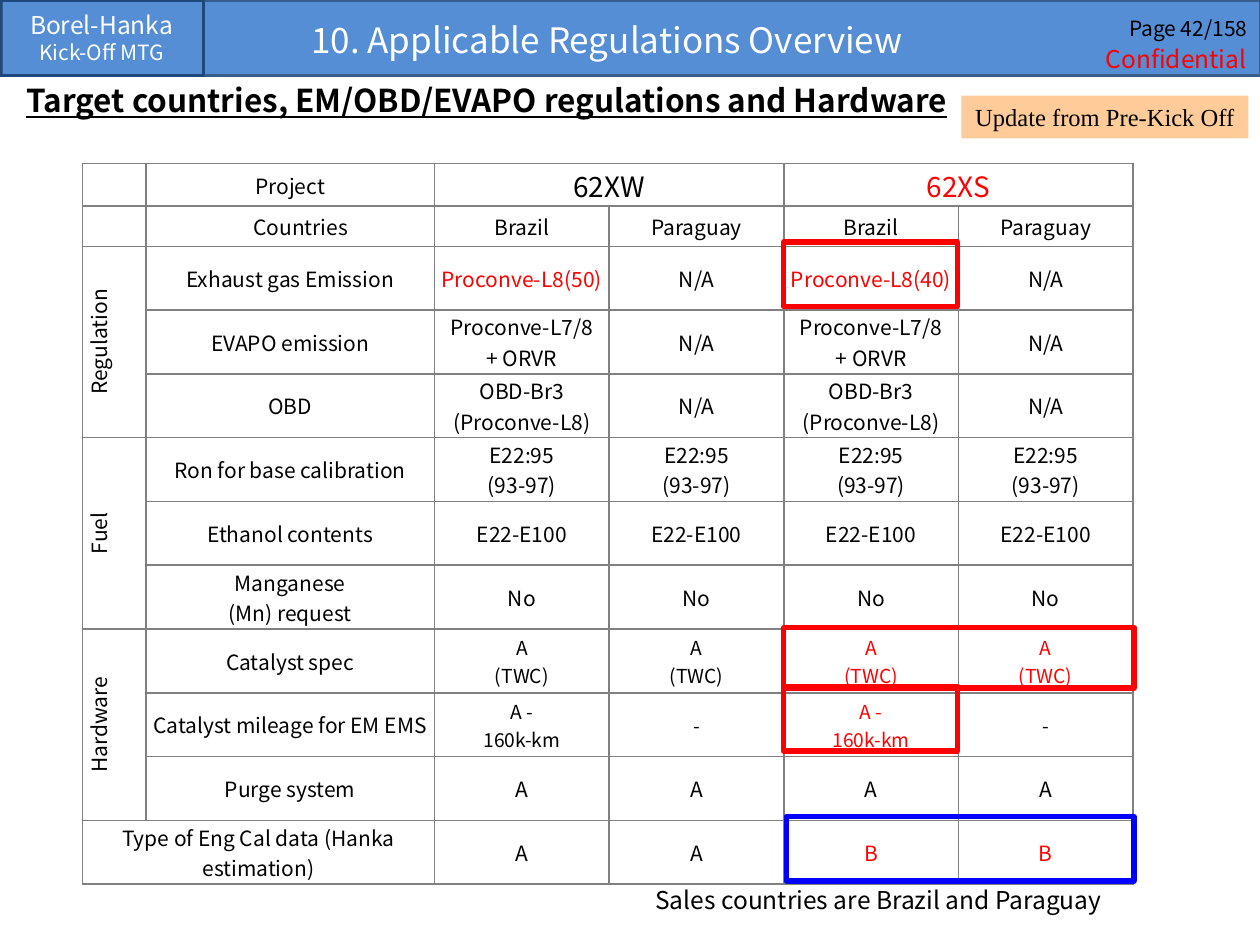
from dataclasses import dataclass

from lxml.etree import SubElement
from pptx import Presentation
from pptx.dml.color import RGBColor
from pptx.enum.shapes import MSO_SHAPE
from pptx.enum.text import MSO_ANCHOR, MSO_AUTO_SIZE, PP_ALIGN
from pptx.oxml.ns import qn
from pptx.util import Cm, Pt


@dataclass(frozen=True)
class Theme:
    font: str = "Noto Sans CJK JP"
    note_font: str = "Times New Roman"
    bar: str = "558ED5"
    bar_line: str = "385D8A"
    project_line: str = "1F497D"
    note: str = "FFCC99"
    grid: str = "808080"
    white: str = "FFFFFF"
    black: str = "000000"
    red: str = "FF0000"
    blue: str = "0000FF"
    title_size: int = 20
    heading_size: int = 18
    project_size: int = 16
    label_size: int = 14
    body_size: int = 12
    small_size: int = 11


THEME = Theme()

OBD = "OBD-Br3\n(Proconve-L8)"
EVAPO = "Proconve-L7/8\n+ ORVR"
RON = "E22:95\n(93-97)"
CATALYST = "A\n(TWC)"
MILEAGE = "A -\n160k-km"
ROWS = [
    ["", "Project", "62XW", "", "62XS", ""],
    ["", "　Countries", "Brazil", "Paraguay", "Brazil", "Paraguay"],
    ["Regulation", "Exhaust gas Emission", "Proconve-L8(50)", "N/A", "Proconve-L8(40)", "N/A"],
    ["", "EVAPO emission", EVAPO, "N/A", EVAPO, "N/A"],
    ["", "OBD", OBD, "N/A", OBD, "N/A"],
    ["Fuel", "Ron for base calibration"] + [RON] * 4,
    ["", "Ethanol contents"] + ["E22-E100"] * 4,
    ["", "Manganese\n(Mn) request"] + ["No"] * 4,
    ["Hardware", "Catalyst spec"] + [CATALYST] * 4,
    ["", "Catalyst mileage for EM EMS", MILEAGE, "-", MILEAGE, "-"],
    ["", "Purge system"] + ["A"] * 4,
    ["Type of Eng Cal data (Hanka estimation)", "", "A", "A", "B", "B"],
]
HEADER_ROWS = 2
GROUP_ROWS = (2, 5, 8)
GROUP_SIZE = 3
CATALYST_ROWS = (8, 9)
RED_CELLS = {(0, 4), (2, 2), (2, 4), (8, 4), (8, 5), (9, 4), (11, 4), (11, 5)}
COLUMN_WIDTHS = [1.28, 5.82] + [3.52] * 4
TABLE_HEIGHT = 14.48
HEADER_HEIGHT = 0.81


def color(value):
    return RGBColor.from_string(value)


def add_run(paragraph, text, size, ink, font=THEME.font, bold=False, underline=False):
    run = paragraph.add_run()
    run.text = text
    run.font.name = font
    run.font.size = Pt(size)
    run.font.color.rgb = color(ink)
    run.font.bold = bold
    run.font.underline = underline


def fill_text(frame, lines, align, **style):
    frame.auto_size = MSO_AUTO_SIZE.NONE
    frame.vertical_anchor = MSO_ANCHOR.MIDDLE
    for index, (text, size, ink) in enumerate(lines):
        paragraph = frame.add_paragraph() if index else frame.paragraphs[0]
        paragraph.alignment = align
        add_run(paragraph, text, size, ink, **style)


def add_text(slide, box, line, align, wrap=False, **style):
    shape = slide.shapes.add_textbox(*map(Cm, box))
    shape.text_frame.word_wrap = wrap
    fill_text(shape.text_frame, [line], align, **style)
    return shape


def add_rectangle(slide, box, fill=None, line=None, width=2):
    shape = slide.shapes.add_shape(MSO_SHAPE.RECTANGLE, *map(Cm, box))
    shape.shadow.inherit = False
    if fill:
        shape.fill.solid()
        shape.fill.fore_color.rgb = color(fill)
    else:
        shape.fill.background()
    if line:
        shape.line.color.rgb = color(line)
        shape.line.width = Pt(width)
    else:
        shape.line.fill.background()
    return shape


def add_header(slide):
    add_rectangle(slide, (0.02, 0, 25.4, 1.52), THEME.bar, THEME.bar_line)
    project = add_rectangle(slide, (0, 0, 4.1, 1.52), line=THEME.project_line)
    fill_text(project.text_frame, [
        ("Borel-Hanka", THEME.label_size, THEME.white),
        ("Kick-Off MTG", THEME.body_size, THEME.white),
    ], PP_ALIGN.CENTER)
    add_text(slide, (21.74, 0.05, 3.66, 1.02),
             ("Page 42/158", THEME.body_size, THEME.black), PP_ALIGN.RIGHT, wrap=True)
    add_text(slide, (22.02, 0.76, 3.38, 0.86),
             ("Confidential", THEME.label_size, THEME.red), PP_ALIGN.CENTER)


def place_title(slide):
    title = slide.shapes.title
    title.left, title.top, title.width, title.height = map(Cm, (6.02, 0.23, 13.39, 1.12))
    fill_text(title.text_frame,
              [("10. Applicable Regulations Overview", THEME.title_size, THEME.white)],
              PP_ALIGN.LEFT)
    slide.shapes.element.append(title.element)


def style_cell(cell):
    cell.vertical_anchor = MSO_ANCHOR.MIDDLE
    cell.margin_left = cell.margin_right = Cm(0.04)
    cell.margin_top = cell.margin_bottom = Cm(0.02)
    properties = cell._tc.get_or_add_tcPr()
    for side in ("lnL", "lnR", "lnT", "lnB"):
        border = SubElement(properties, qn(f"a:{side}"), w=str(Pt(1)))
        solid = SubElement(border, qn("a:solidFill"))
        SubElement(solid, qn("a:srgbClr"), val=THEME.grid)
    cell.fill.background()


def cell_size(row, column):
    if row == 0 and column >= 2:
        return THEME.project_size
    if row in CATALYST_ROWS and column >= 2:
        return THEME.small_size
    return THEME.body_size


def write_cell(cell, text, row, column):
    style_cell(cell)
    if not text:
        SubElement(cell.text_frame.paragraphs[0]._p, qn("a:endParaRPr"),
                   sz=str(THEME.body_size * 100))
        return
    ink = THEME.red if (row, column) in RED_CELLS else THEME.black
    for index, line in enumerate(text.split("\n")):
        frame = cell.text_frame
        paragraph = frame.add_paragraph() if index else frame.paragraphs[0]
        paragraph.alignment = PP_ALIGN.CENTER
        add_run(paragraph, line, cell_size(row, column), ink)


def add_regulation_table(slide):
    table = slide.shapes.add_table(
        len(ROWS), len(COLUMN_WIDTHS), Cm(1.66), Cm(3.3),
        Cm(sum(COLUMN_WIDTHS)), Cm(TABLE_HEIGHT)).table
    table.first_row = table.horz_banding = False
    for column, width in zip(table.columns, COLUMN_WIDTHS):
        column.width = Cm(width)
    body_height = (TABLE_HEIGHT - HEADER_ROWS * HEADER_HEIGHT) / (len(ROWS) - HEADER_ROWS)
    for row, texts in enumerate(ROWS):
        table.rows[row].height = Cm(HEADER_HEIGHT if row < HEADER_ROWS else body_height)
        for column, text in enumerate(texts):
            write_cell(table.cell(row, column), text, row, column)
    for row in GROUP_ROWS:
        table.cell(row, 0).merge(table.cell(row + GROUP_SIZE - 1, 0))
        table.cell(row, 0)._tc.get_or_add_tcPr().set("vert", "vert270")
    for row, column in ((0, 2), (0, 4), (len(ROWS) - 1, 0)):
        table.cell(row, column).merge(table.cell(row, column + 1))


def add_highlights(slide):
    for box, line in (
        ((15.8, 4.88, 3.5, 1.3), THEME.red),
        ((15.8, 12.65, 7.06, 1.22), THEME.red),
        ((15.85, 16.46, 7.01, 1.3), THEME.blue),
        ((15.8, 13.84, 3.5, 1.3), THEME.red),
    ):
        add_rectangle(slide, box, line=line, width=3)


def add_notes_on_table(slide):
    sales = add_text(slide, (13.11, 17.83, 10.11, 0.61),
                     ("Sales countries are Brazil and Paraguay", THEME.label_size, THEME.black),
                     PP_ALIGN.LEFT)
    frame = sales.text_frame
    frame.margin_left = frame.margin_right = Cm(0.1)
    frame.margin_top = frame.margin_bottom = 0
    update = add_rectangle(slide, (19.38, 1.93, 5.79, 0.86), THEME.note)
    update.text_frame.word_wrap = False
    fill_text(update.text_frame,
              [("Update from Pre-Kick Off", THEME.label_size, THEME.black)],
              PP_ALIGN.CENTER, font=THEME.note_font)


def main():
    presentation = Presentation()
    presentation.slide_width, presentation.slide_height = Cm(25.4), Cm(19.05)
    slide = presentation.slides.add_slide(presentation.slide_layouts[5])
    add_header(slide)
    add_text(slide, (0.28, 1.5, 24.31, 1.02),
             ("Target countries, EM/OBD/EVAPO regulations and Hardware",
              THEME.heading_size, THEME.black),
             PP_ALIGN.LEFT, wrap=True, bold=True, underline=True)
    place_title(slide)
    add_regulation_table(slide)
    add_highlights(slide)
    add_notes_on_table(slide)
    presentation.save("out.pptx")


if __name__ == "__main__":
    main()
